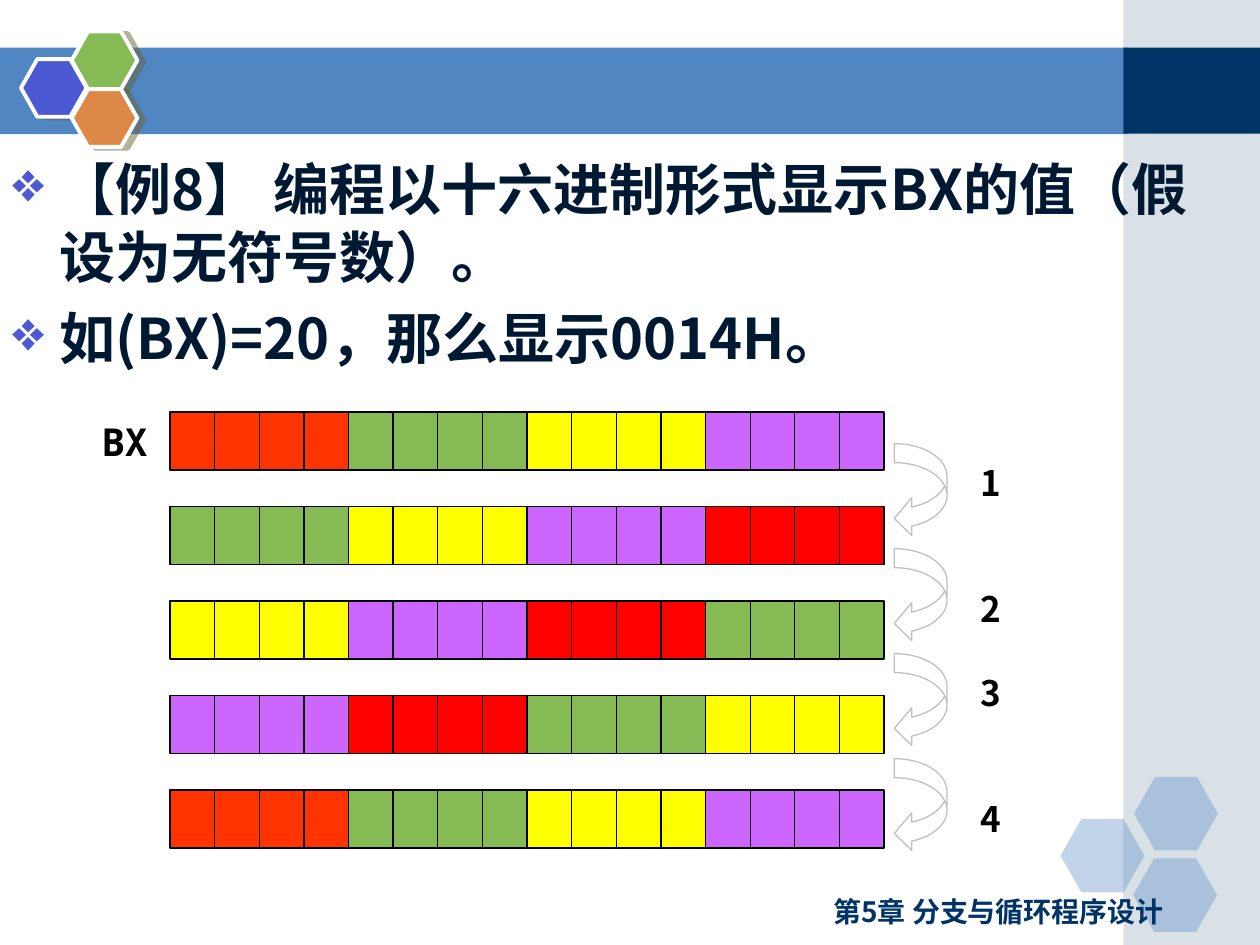
from pptx import Presentation
from pptx.dml.color import RGBColor
from pptx.enum.shapes import MSO_SHAPE
from pptx.enum.text import PP_ALIGN
from pptx.oxml import parse_xml
from pptx.oxml.ns import nsdecls, qn
from pptx.util import Pt

RECTANGLE = MSO_SHAPE.RECTANGLE
HEXAGON = MSO_SHAPE.HEXAGON
CURVED_ARROW = MSO_SHAPE.CURVED_LEFT_ARROW
LEFT, RIGHT = PP_ALIGN.LEFT, PP_ALIGN.RIGHT
CJK_FONT = "Noto Sans CJK SC"
MONO_FONT = "Noto Sans Mono"
BLUE, NAVY, INDIGO, GREEN = "5086C2", "003366", "4C59D2", "85BA54"
ORANGE_RED, RED, YELLOW, PURPLE = "FF3300", "FF0000", "FFFF00", "CC66FF"
CELL_WIDTH, CELL_HEIGHT, ROW_PITCH = 25.5, 33.1, 54


def color(hex_string):
    """Return the colour for a hex string."""
    return RGBColor.from_string(hex_string)


def add_element(parent, xml):
    """Append an element in the drawing namespace to a parent."""
    parent.append(parse_xml(xml.replace("{ns}", nsdecls("a"))))


def add_shape(page, kind, left, top, width, height, fill=None, line=None,
              line_width=0.75, adjustments=()):
    """Add a preset shape with the given fill and outline."""
    shape = page.shapes.add_shape(kind, Pt(left), Pt(top), Pt(width), Pt(height))
    shape.shadow.inherit = False
    for index, value in enumerate(adjustments):
        shape.adjustments[index] = value
    if fill:
        shape.fill.solid()
        shape.fill.fore_color.rgb = color(fill)
    else:
        shape.fill.background()
    if line:
        shape.line.color.rgb = color(line)
        shape.line.width = Pt(line_width)
    else:
        shape.line.fill.background()
    return shape


def set_opacity(shape, percent):
    """Make the solid fill of a shape partly transparent."""
    fill = shape._element.spPr.find(qn("a:solidFill"))
    add_element(fill[0], f'<a:alpha {{ns}} val="{percent * 1000}"/>')


def add_hard_shadow(shape):
    """Give a shape an unblurred olive shadow to its right."""
    effects = shape._element.spPr.find(qn("a:effectLst"))
    add_element(effects, '<a:outerShdw {ns} blurRad="0" dist="52070" dir="840000" '
                         'algn="ctr" rotWithShape="0"><a:srgbClr val="666633">'
                         '<a:alpha val="50000"/></a:srgbClr></a:outerShdw>')


def add_bullet(para):
    """Give a paragraph a hanging diamond bullet."""
    properties = para._p.get_or_add_pPr()
    properties.set("marL", str(Pt(27)))
    properties.set("indent", str(-Pt(27)))
    add_element(properties, f'<a:buClr {{ns}}><a:srgbClr val="{INDIGO}"/></a:buClr>')
    add_element(properties, '<a:buChar {ns} char="❖"/>')


def add_text(page, left, top, width, height, lines, size, hex_string="000000",
             align=LEFT, font=CJK_FONT, gaps=(), bulleted=False):
    """Add a bold text box with one paragraph per line and gaps between them."""
    box = page.shapes.add_textbox(Pt(left), Pt(top), Pt(width), Pt(height))
    frame = box.text_frame
    frame.word_wrap = True
    for index, line in enumerate(lines):
        para = frame.paragraphs[0] if index == 0 else frame.add_paragraph()
        para.text = line
        para.alignment = align
        if index:
            para.space_before = Pt(gaps[index - 1])
        if bulleted:
            add_bullet(para)
        para.font.name = font
        para.font.size = Pt(size)
        para.font.bold = True
        para.font.color.rgb = color(hex_string)
        add_element(para.font._element, f'<a:ea {{ns}} typeface="{CJK_FONT}"/>')


def add_decoration(page):
    """Add the bands and the two hexagon clusters."""
    add_shape(page, RECTANGLE, 0, 27.2, 644.5, 49.5, BLUE)
    set_opacity(add_shape(page, RECTANGLE, 642, 0, 78, 540, "A0B5C4"), 40)
    add_shape(page, RECTANGLE, 642, 27.2, 78, 49.2, NAVY)
    for left, top in ((606, 468), (648, 444), (647.5, 490.5)):
        hexagon = add_shape(page, HEXAGON, left, top, 48, 42, BLUE,
                            adjustments=[0.286])
        set_opacity(hexagon, 35)
    for left, top, fill in ((12, 33.8, INDIGO), (41, 18, GREEN), (41, 51, "DE8848")):
        hexagon = add_shape(page, HEXAGON, left, top, 37.5, 33, fill, "FFFFFF",
                            2.25, [0.283])
        add_hard_shadow(hexagon)


def add_register(page, top, fills):
    """Add a 16-bit register row, four cells for each fill."""
    for bit in range(16):
        add_shape(page, RECTANGLE, 97.2 + bit * CELL_WIDTH, top, CELL_WIDTH,
                  CELL_HEIGHT, fills[bit // 4], "000000")


def add_rotation(page):
    """Add the register after each rotation by four bits, with arrows."""
    for step in range(5):
        first = RED if step % 4 else ORANGE_RED
        nibbles = [first, GREEN, YELLOW, PURPLE]
        turn = step % 4
        add_register(page, 235.5 + step * ROW_PITCH, nibbles[turn:] + nibbles[:turn])
    for step in range(4):
        add_shape(page, CURVED_ARROW, 511, 253.5 + step * 60, 30.2, 53.5,
                  line="C0C0C0", adjustments=[0.36, 0.71, 0.33])


def main():
    """Build the slide and save the deck."""
    deck = Presentation()
    deck.slide_width, deck.slide_height = Pt(720), Pt(540)
    page = deck.slides.add_slide(deck.slide_layouts[6])
    add_decoration(page)
    add_text(page, 417, 507.6, 255, 26.6, ["第5章 分支与循环程序设计"], 16, NAVY, RIGHT)
    add_text(page, 0, 85, 711, 140,
             ["【例8】 编程以十六进制形式显示BX的值（假设为无符号数）。",
              "如(BX)=20，那么显示0014H。"],
             32, "001933", gaps=[8], bulleted=True)
    add_rotation(page)
    add_text(page, 51, 235.5, 64, 48, ["BX"], 22, font=MONO_FONT)
    add_text(page, 553, 260, 54, 230, ["1", "2", "3", "4"], 20, gaps=[48, 24, 48])
    deck.save("out.pptx")


if __name__ == "__main__":
    main()
